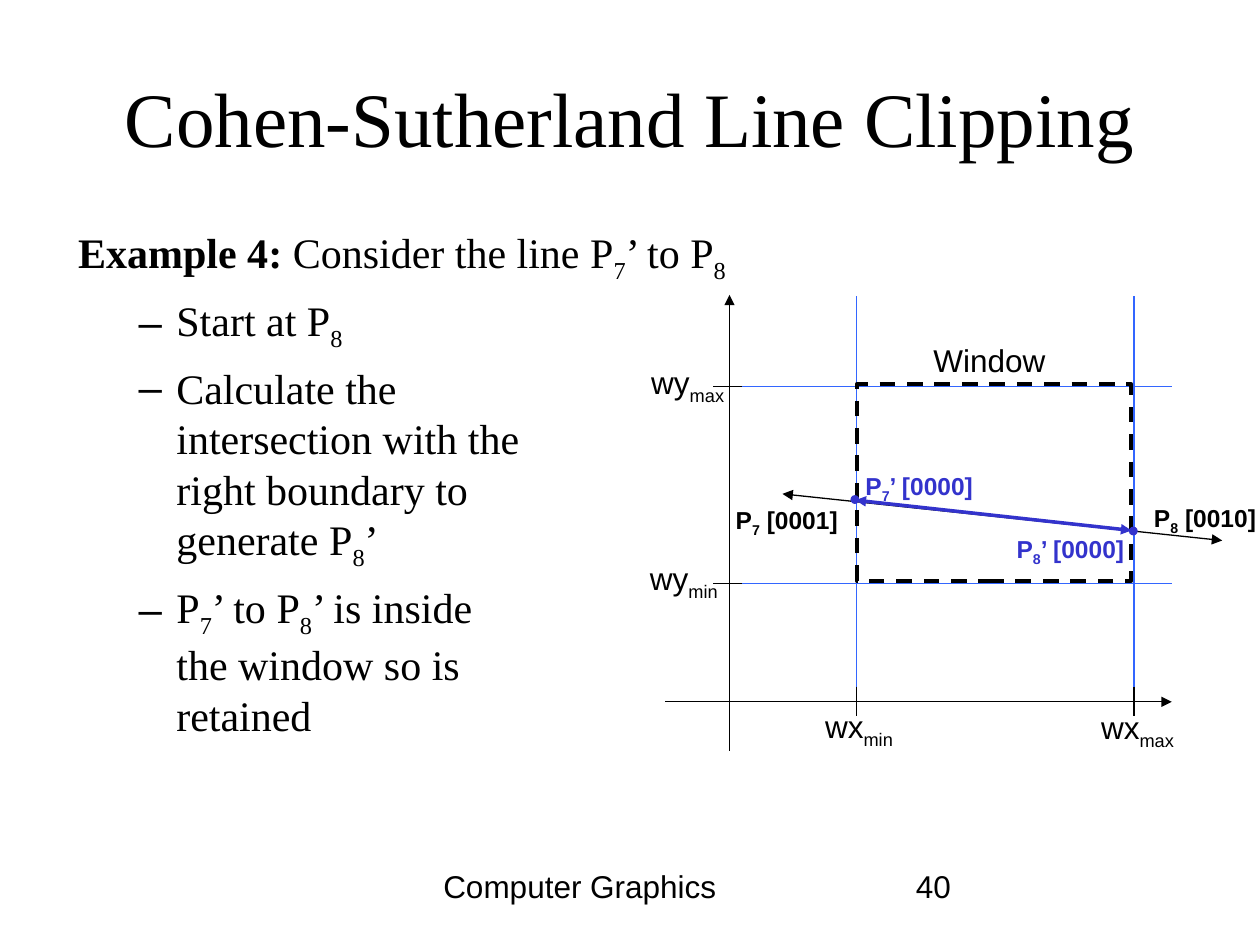
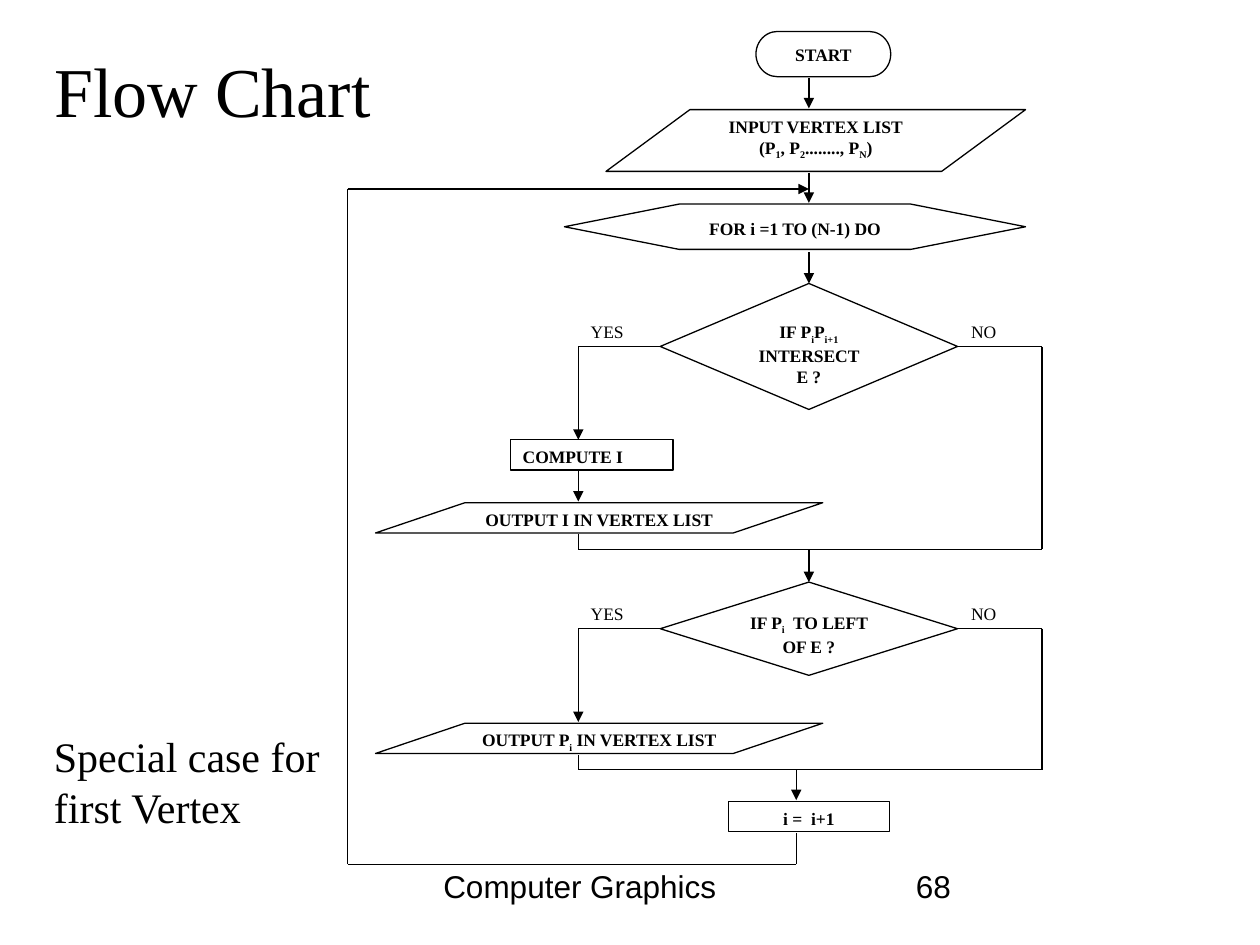
import itertools
import lxml.etree
import pptx
import pptx.dml.color
import pptx.enum.dml
import pptx.enum.shapes
import pptx.enum.text
import pptx.oxml.ns
import pptx.util

Inches = pptx.util.Inches
Shape = pptx.enum.shapes.MSO_SHAPE
Align = pptx.enum.text.PP_ALIGN
Anchor = pptx.enum.text.MSO_ANCHOR
qn = pptx.oxml.ns.qn

BLACK, WHITE, BLUE, GUIDE = "000000", "FFFFFF", "3333CC", "3366FF"
SERIF, SANS = "Times New Roman", "Arial"

CLIP_TITLE = "Cohen-Sutherland Line Clipping"
EXAMPLE = ["Example 4: ", "Consider the line P{7}’ to P{8}"]
STEPS = [
    "Start at P{8}",
    "Calculate the \nintersection with the \nright boundary to \ngenerate P{8}’",
    "P{7}’ to P{8}’ is inside \nthe window so is \nretained",
]
X_MIN, X_MAX, Y_MAX, Y_MIN = 6.8, 9, 3.07, 4.63
AXIS_X, AXIS_Y = 5.79, 5.57
AXIS_LABELS = [
    ("wy{max}", 5.07, 2.83, 0.78, 0.44),
    ("wy{min}", 5.06, 4.39, 0.74, 0.44),
    ("wx{min}", 6.45, 5.56, 0.74, 0.44),
    ("wx{max}", 8.64, 5.57, 0.78, 0.44),
    ("Window", 7.31, 2.66, 1.09, 0.4),
]
POINT_LABELS = [
    ("P{7}’ [0000]", 6.77, 3.69, 1.06, BLUE),
    ("P{7} [0001]", 5.74, 3.96, 1.01, BLACK),
    ("P{8} [0010]", 9.06, 3.94, 1.01, BLACK),
    ("P{8}’ [0000]", 7.97, 4.19, 1.06, BLUE),
]
CLIP_POINTS = [(6.75, 3.93), (8.96, 4.18)]

FLOW_TITLE = "Flow Chart"
FLOW_NOTE = "Special case for first Vertex"
DATA, DECISION, PROCESS = (Shape.FLOWCHART_DATA, Shape.FLOWCHART_DECISION,
                           Shape.FLOWCHART_PROCESS)
FLOW_STEPS = [
    (Shape.FLOWCHART_TERMINATOR, ["START"], 6, 0.25, 1.07, 0.36),
    (DATA, ["INPUT VERTEX LIST", "(P{1}, P{2}........, P{N})"], 4.81, 0.87, 3.33, 0.49),
    (Shape.HEXAGON, ["FOR i =1 TO (N-1) DO"], 4.48, 1.62, 3.66, 0.36),
    (DECISION, ["IF P{i}P{i+1} INTERSECT E ?"], 5.24, 2.25, 2.36, 1),
    (PROCESS, ["COMPUTE I"], 4.05, 3.49, 1.29, 0.24),
    (DATA, ["OUTPUT I IN VERTEX LIST"], 2.98, 3.99, 3.55, 0.24),
    (DECISION, ["IF P{i}  TO LEFT OF E ?"], 5.24, 4.62, 2.36, 0.74),
    (DATA, ["OUTPUT P{i} IN VERTEX LIST"], 2.98, 5.74, 3.55, 0.24),
    (PROCESS, ["i =  i+1"], 5.78, 6.36, 1.28, 0.24),
]
LEFT_ALIGNED = "COMPUTE I"
SPINE, YES_X, NO_X, NEXT_X, LOOP_X = 6.42, 4.59, 8.27, 6.32, 2.76
DOWN_ARROWS = [
    (SPINE, 0.62, 0.86), (SPINE, 1.37, 1.61), (SPINE, 2, 2.25),
    (YES_X, 3.74, 3.98), (SPINE, 4.36, 4.62), (NEXT_X, 6.11, 6.35),
]
BRANCHES = [(2.75, 3.49, 4.24, 4.36), (4.99, 5.73, 5.99, 6.11)]
LOOP = [(NEXT_X, 6.61), (NEXT_X, 6.86), (LOOP_X, 6.86), (LOOP_X, 1.5), (SPINE, 1.5)]


def rgb(value):
    return pptx.dml.color.RGBColor.from_string(value)


def style(para, size, face, color=BLACK, bold=None, align=Align.LEFT):
    para.font.size = pptx.util.Pt(size)
    para.font.name = face
    para.font.color.rgb = rgb(color)
    para.font.bold = bold
    para.alignment = align


def write(para, text):
    for index, part in enumerate(text.replace("}", "{").split("{")):
        for row, line in enumerate(part.split("\n")):
            if row:
                para.add_line_break()
            if line:
                span = para.add_run()
                span.text = line
                if index % 2:
                    span._r.get_or_add_rPr().set("baseline", "-25000")


def place(box, left, top, width, height):
    box.left, box.top, box.width, box.height = map(Inches, (left, top, width, height))


def add_text(page, text, left, top, width, height, size, face,
             color=BLACK, bold=None, wrap=True):
    box = page.shapes.add_textbox(*map(Inches, (left, top, width, height)))
    box.text_frame.word_wrap = wrap
    para = box.text_frame.paragraphs[0]
    write(para, text)
    style(para, size, face, color, bold)


def add_line(page, start, end, color=BLACK, weight=0.75, ends=()):
    line = page.shapes.add_connector(pptx.enum.shapes.MSO_CONNECTOR.STRAIGHT,
                                     *map(Inches, start + end))
    line.line.color.rgb = rgb(color)
    line.line.width = pptx.util.Pt(weight)
    for name in ends:
        lxml.etree.SubElement(line.get_or_add_ln(), qn("a:" + name), type="triangle")
    lxml.etree.SubElement(line._element.spPr, qn("a:effectLst"))
    return line


def add_box(page, kind, left, top, width, height, fill=None, line=None, weight=0.75):
    box = page.shapes.add_shape(kind, *map(Inches, (left, top, width, height)))
    box.shadow.inherit = False
    for part, color in ((box.fill, fill), (box.line.fill, line)):
        if color:
            part.solid()
            part.fore_color.rgb = rgb(color)
        else:
            part.background()
    if line:
        box.line.width = pptx.util.Pt(weight)
    return box


def add_page(deck, layout, number, title, area, size, align):
    page = deck.slides.add_slide(deck.slide_layouts[layout])
    place(page.shapes.title, *area)
    frame = page.shapes.title.text_frame
    frame.vertical_anchor = Anchor.MIDDLE
    write(frame.paragraphs[0], title)
    style(frame.paragraphs[0], size, SERIF, align=align)
    add_text(page, "Computer Graphics", 3.42, 6.83, 3.16, 0.51, 18, SANS)
    add_text(page, str(number), 7.17, 6.83, 2.32, 0.51, 18, SANS)
    return page


def indent(para, margin, first, bullet=None):
    props = para._p.get_or_add_pPr()
    props.set("marL", str(Inches(margin)))
    props.set("indent", str(Inches(first)))
    mark = lxml.etree.Element(qn("a:buChar" if bullet else "a:buNone"))
    if bullet:
        mark.set("char", bullet)
    props.find(qn("a:defRPr")).addprevious(mark)


def fill_example(body):
    place(body, 0.5, 1.75, 9, 4.95)
    frame = body.text_frame
    frame.auto_size = pptx.enum.text.MSO_AUTO_SIZE.NONE
    frame.vertical_anchor = Anchor.TOP
    for index, text in enumerate(["".join(EXAMPLE)] + STEPS):
        para = frame.add_paragraph() if index else frame.paragraphs[0]
        para.space_before = pptx.util.Pt(6)
        style(para, 24, SERIF)
        if index:
            para.level = 1
            write(para, text)
            indent(para, 0.8, -0.3, "–")
        else:
            for part in EXAMPLE:
                write(para, part)
            para.runs[0].font.bold = True
            indent(para, 0.38, -0.36)


def draw_window(page):
    for x in (X_MIN, X_MAX):
        add_line(page, (x, 2.35), (x, 5.5), GUIDE)
        add_line(page, (x, 5.45), (x, 5.68))
    for y in (Y_MAX, Y_MIN):
        add_line(page, (9.3, y), (5.85, y), GUIDE)
        add_line(page, (5.89, y), (5.66, y))
    add_line(page, (5.28, AXIS_Y), (9.3, AXIS_Y), ends=["tailEnd"])
    add_line(page, (AXIS_X, 5.96), (AXIS_X, 2.34), ends=["tailEnd"])
    window = add_box(page, Shape.RECTANGLE, X_MIN, 3.05, 2.18, 1.56,
                     line=BLACK, weight=2.25)
    window.line.dash_style = pptx.enum.dml.MSO_LINE.DASH
    for label in AXIS_LABELS:
        add_text(page, *label, 18, SANS, wrap=False)
    both = ["headEnd", "tailEnd"]
    add_line(page, (6.21, 3.92), (9.7, 4.29), ends=both)
    for text, left, top, width, color in POINT_LABELS:
        add_text(page, text, left, top, width, 0.37, 14, SANS, color, True, False)
    for left, top in CLIP_POINTS:
        add_box(page, Shape.OVAL, left, top, 0.07, 0.07, fill=BLUE)
    add_line(page, (6.79, 3.97), (8.98, 4.21), BLUE, 2, both)


def draw_flow(page):
    sites = {}
    for kind, lines, left, top, width, height in FLOW_STEPS:
        box = add_box(page, kind, left, top, width, height, WHITE, BLACK)
        if kind == Shape.HEXAGON:
            box.adjustments[0] = 2.53
        if kind == DECISION:
            middle, center = round(top + height / 2, 2), round(left + width / 2, 2)
            sites[center, top] = box, 0
            sites[left, middle] = box, 1
            sites[round(left + width, 2), middle] = box, 3
        frame = box.text_frame
        frame.word_wrap = True
        frame.vertical_anchor = Anchor.TOP
        for index, text in enumerate(lines):
            para = frame.add_paragraph() if index else frame.paragraphs[0]
            write(para, text)
            align = Align.LEFT if text == LEFT_ALIGNED else Align.CENTER
            style(para, 10, SERIF, bold=True, align=align)

    routes = [([(x, top), (x, bottom)], True) for x, top, bottom in DOWN_ARROWS]
    for y, yes_end, output_bottom, merge in BRANCHES:
        routes.append(([(5.24, y), (YES_X, y), (YES_X, yes_end)], True))
        routes.append(([(7.6, y), (NO_X, y), (NO_X, merge), (YES_X, merge),
                        (YES_X, output_bottom)], False))
        for text, left in (("YES", YES_X), ("NO", 7.61)):
            add_text(page, text, left, y - 0.25, 0.64, 0.24, 10, SERIF)
    routes.append((LOOP, True))
    for points, arrow in routes:
        for start, end in itertools.pairwise(points):
            ends = ["tailEnd"] if arrow and end == points[-1] else []
            line = add_line(page, start, end, ends=ends)
            if start in sites:
                line.begin_connect(*sites[start])
            if end in sites:
                line.end_connect(*sites[end])


def main():
    deck = pptx.Presentation()
    deck.slide_width, deck.slide_height = Inches(10), Inches(7.5)
    clipping = add_page(deck, 1, 40, CLIP_TITLE, (0.5, 0.3, 9, 1.25), 44, Align.CENTER)
    fill_example(clipping.placeholders[1])
    draw_window(clipping)
    flow = add_page(deck, 5, 68, FLOW_TITLE, (0.33, 0.25, 3.92, 0.92), 40, Align.LEFT)
    draw_flow(flow)
    add_text(flow, FLOW_NOTE, 0.33, 5.75, 2.5, 0.9, 24, SERIF)
    deck.save("out.pptx")


if __name__ == "__main__":
    main()
